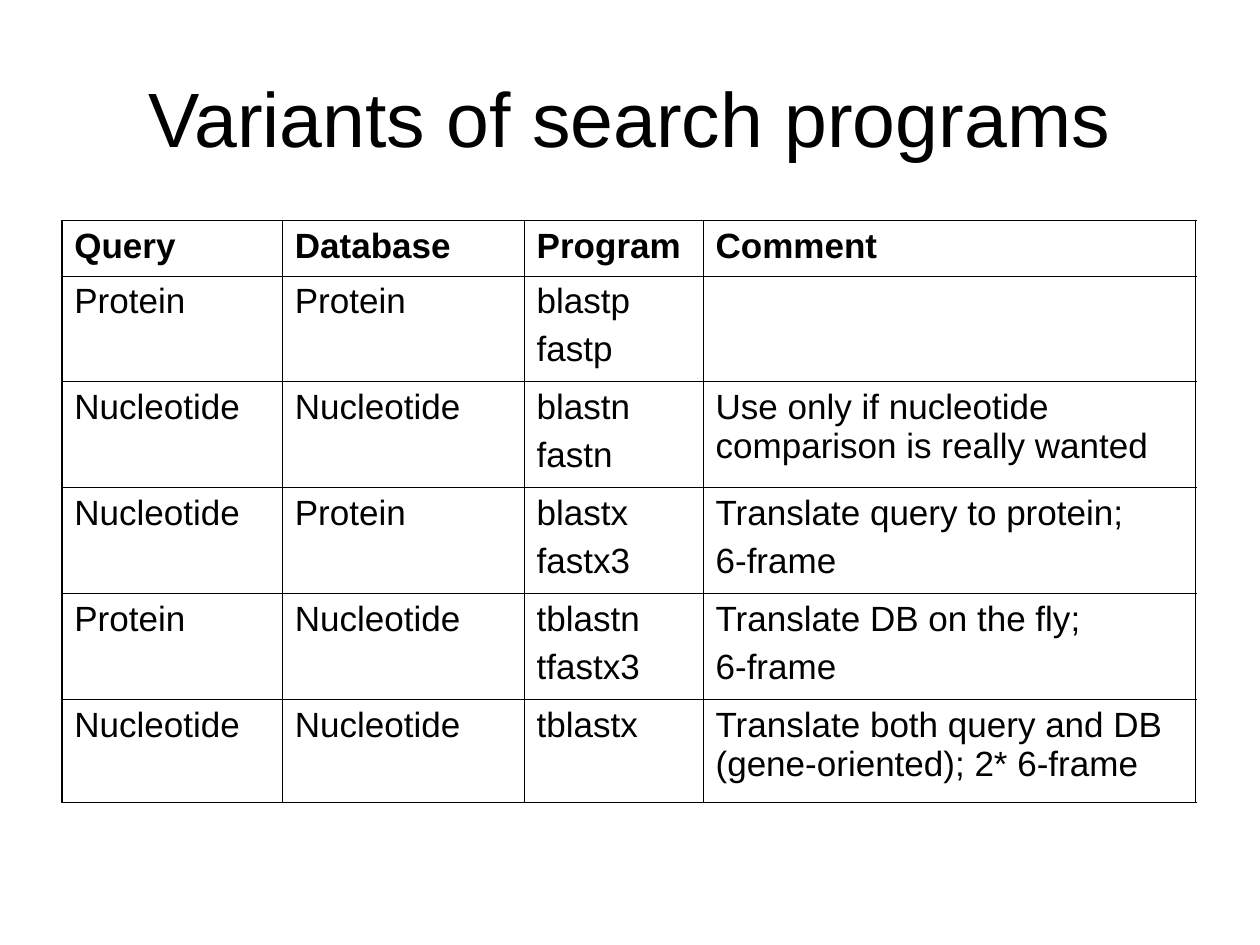
from lxml import etree
from pptx import Presentation
from pptx.dml.color import RGBColor
from pptx.enum.text import MSO_ANCHOR, PP_ALIGN
from pptx.oxml.ns import qn
from pptx.util import Inches, Pt

MIDDLE = MSO_ANCHOR.MIDDLE
CENTER = PP_ALIGN.CENTER
BLACK = RGBColor(0, 0, 0)
THIN, THICK = Pt(0.45), Pt(1.08)

COLS = [1.75, 1.92, 1.42, 3.91]
HEIGHTS = [0.44] + [0.84] * 4 + [0.82]
ROWS = [
    ["Query", "Database", "Program", "Comment"],
    ["Protein", "Protein", "blastp\nfastp", ""],
    ["Nucleotide", "Nucleotide", "blastn\nfastn",
     "Use only if nucleotide comparison is really wanted"],
    ["Nucleotide", "Protein", "blastx\nfastx3",
     "Translate query to protein;\n6-frame"],
    ["Protein", "Nucleotide", "tblastn\ntfastx3",
     "Translate DB on the fly;\n6-frame"],
    ["Nucleotide", "Nucleotide", "tblastx",
     "Translate both query and DB (gene-oriented); 2* 6-frame"],
]


class Page:
    def __init__(self, slide, font, ink):
        self.slide = slide
        self.font = font
        self.ink = ink

    def label(self, frame, text, size, bold=False, align=None):
        """Fill a text frame, one paragraph to a line of text."""
        frame.word_wrap = True
        for i, line in enumerate(text.split("\n")):
            para = frame.add_paragraph() if i else frame.paragraphs[0]
            para.alignment = align
            para.font.size = Pt(size)
            if i:
                para.space_before = Pt(5)
            if line:
                run = para.add_run()
                run.text = line
                run.font.name = self.font
                run.font.size = Pt(size)
                run.font.bold = bold
                run.font.color.rgb = self.ink

    def title(self, text, left, top, width, height):
        box = self.slide.shapes.add_textbox(
            Inches(left), Inches(top), Inches(width), Inches(height))
        box.text_frame.vertical_anchor = MIDDLE
        self.label(box.text_frame, text, 44, align=CENTER)

    def border(self, cell, side, width):
        line = etree.SubElement(cell._tc.get_or_add_tcPr(),
                                qn("a:ln" + side), w=str(width))
        fill = etree.SubElement(line, qn("a:solidFill"))
        etree.SubElement(fill, qn("a:srgbClr"), val=str(self.ink))

    def table(self, rows, left, top, widths, heights):
        """Draw a grid with a heavy outer frame and a bold first row."""
        grid = self.slide.shapes.add_table(
            len(rows), len(widths), Inches(left), Inches(top),
            Inches(sum(widths)), Inches(sum(heights))).table
        grid.first_row = grid.horz_banding = False
        for col, width in zip(grid.columns, widths):
            col.width = Inches(width)
        for row, height in zip(grid.rows, heights):
            row.height = Inches(height)
        end_row, end_col = len(rows) - 1, len(widths) - 1
        for r, texts in enumerate(rows):
            for c, text in enumerate(texts):
                cell = grid.cell(r, c)
                outer = {"L": c == 0, "R": c == end_col,
                         "T": r == 0, "B": r == end_row}
                for side, edge in outer.items():
                    self.border(cell, side, THICK if edge else THIN)
                cell.fill.background()
                self.label(cell.text_frame, text, 20, bold=r == 0)


def main():
    deck = Presentation()
    deck.slide_width, deck.slide_height = Inches(10), Inches(7.5)
    page = Page(deck.slides.add_slide(deck.slide_layouts[6]), "Arial", BLACK)
    page.title("Variants of search programs", 0.5, 0.3, 9, 1.25)
    page.table(ROWS, 0.49, 1.75, COLS, HEIGHTS)
    deck.save("out.pptx")


if __name__ == "__main__":
    main()
